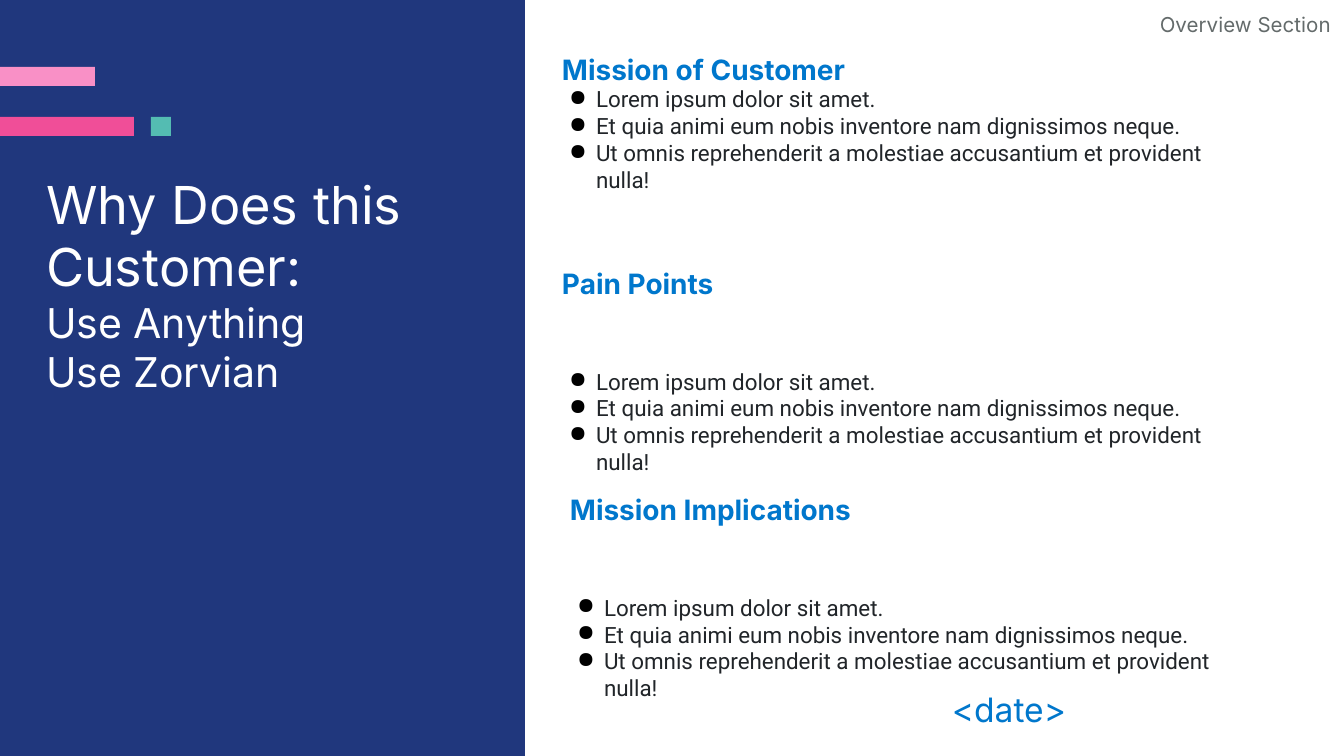
from pptx import Presentation
from pptx.dml.color import RGBColor
from pptx.enum.shapes import MSO_SHAPE
from pptx.enum.text import MSO_ANCHOR, MSO_AUTO_SIZE, PP_ALIGN
from pptx.oxml import parse_xml
from pptx.oxml.ns import nsdecls
from pptx.util import Pt

PX = 914400 / 134.4


def px(*lengths):
    return [round(length * PX) for length in lengths]


def style(font, size, name, color, bold=False):
    font.size = Pt(size)
    font.name = name
    font.bold = bold
    font.color.rgb = RGBColor.from_string(color)


presentation = Presentation()
presentation.slide_width, presentation.slide_height = px(1344, 756)
slide = presentation.slides.add_slide(presentation.slide_layouts[5])

bars = [
    (0, 0, 525, 756, "20377D"),
    (0, 67, 95, 19, "F990C6"),
    (0, 117, 134, 19, "F04E98"),
    (151, 117, 20, 19, "54BCB2"),
]
for left, top, width, height, color in bars:
    bar = slide.shapes.add_shape(MSO_SHAPE.RECTANGLE, *px(left, top, width, height))
    bar.shadow.inherit = False
    bar.fill.solid()
    bar.fill.fore_color.rgb = RGBColor.from_string(color)
    bar.line.fill.background()

title = slide.shapes.title
title.element.getparent().append(title.element)
title.left, title.top, title.width, title.height = px(34, 164, 490, 450)
text_frame = title.text_frame
text_frame.word_wrap = True
text_frame.auto_size = MSO_AUTO_SIZE.NONE
text_frame.vertical_anchor = MSO_ANCHOR.TOP
text_frame.margin_left, text_frame.margin_top = px(12, 8)
text_frame.text = "Why Does this Customer:\vUse Anything\vUse Zorvian"
paragraph = text_frame.paragraphs[0]
paragraph.alignment = PP_ALIGN.LEFT
paragraph.line_spacing = 1.0
for run, size in zip(paragraph.runs, (28, 22, 22)):
    style(run.font, size, "Inter", "FFFFFF")

points = [
    "Lorem ipsum dolor sit amet.",
    "Et quia animi eum nobis inventore nam dignissimos neque.",
    "Ut omnis reprehenderit a molestiae accusantium et provident nulla!",
]
sections = [
    ("Pain Points", 562, 267, 700, 214, 0, 36),
    ("Mission Implications", 563, 493, 698, 206, 7, 36),
    ("Mission of Customer", 562, 52, 700, 206, 0, 0),
]
for heading, left, top, width, height, inset, gap in sections:
    section = slide.shapes.add_shape(MSO_SHAPE.ROUNDED_RECTANGLE, *px(left, top, width, height))
    section.adjustments[0] = 0
    section.shadow.inherit = False
    section.fill.background()
    section.line.fill.background()
    text_frame = section.text_frame
    text_frame.word_wrap = True
    text_frame.vertical_anchor = MSO_ANCHOR.TOP
    text_frame.margin_left, text_frame.margin_top = px(inset, 0)
    text_frame.margin_right, text_frame.margin_bottom = px(7, 7)
    paragraph = text_frame.paragraphs[0]
    paragraph.text = heading
    paragraph.alignment = PP_ALIGN.LEFT
    paragraph.space_after = Pt(gap)
    style(paragraph.runs[0].font, 15, "Inter", "0077CC", True)
    for point in points:
        paragraph = text_frame.add_paragraph()
        paragraph.text = point
        paragraph.alignment = PP_ALIGN.LEFT
        properties = paragraph._p.get_or_add_pPr()
        indent, hanging = px(34, -27)
        properties.set("marL", str(indent))
        properties.set("indent", str(hanging))
        properties.append(parse_xml(f'<a:buClr {nsdecls("a")}><a:srgbClr val="000000"/></a:buClr>'))
        properties.append(parse_xml(f'<a:buChar {nsdecls("a")} char="●"/>'))
        style(paragraph.runs[0].font, 12, "Roboto", "212529")

labels = [
    ("<date>", 939, 676, 242, 59, 18, "0077CC", PP_ALIGN.LEFT),
    ("Overview Section", 1122, 0, 222, 48, 11, "646B6B", PP_ALIGN.RIGHT),
]
for text, left, top, width, height, size, color, alignment in labels:
    label = slide.shapes.add_textbox(*px(left, top, width, height))
    text_frame = label.text_frame
    text_frame.word_wrap = True
    text_frame.margin_left, text_frame.margin_top = px(13, 13)
    text_frame.margin_right, text_frame.margin_bottom = px(13, 13)
    text_frame.text = text
    paragraph = text_frame.paragraphs[0]
    paragraph.alignment = alignment
    style(paragraph.runs[0].font, size, "Inter", color)

presentation.save("out.pptx")
